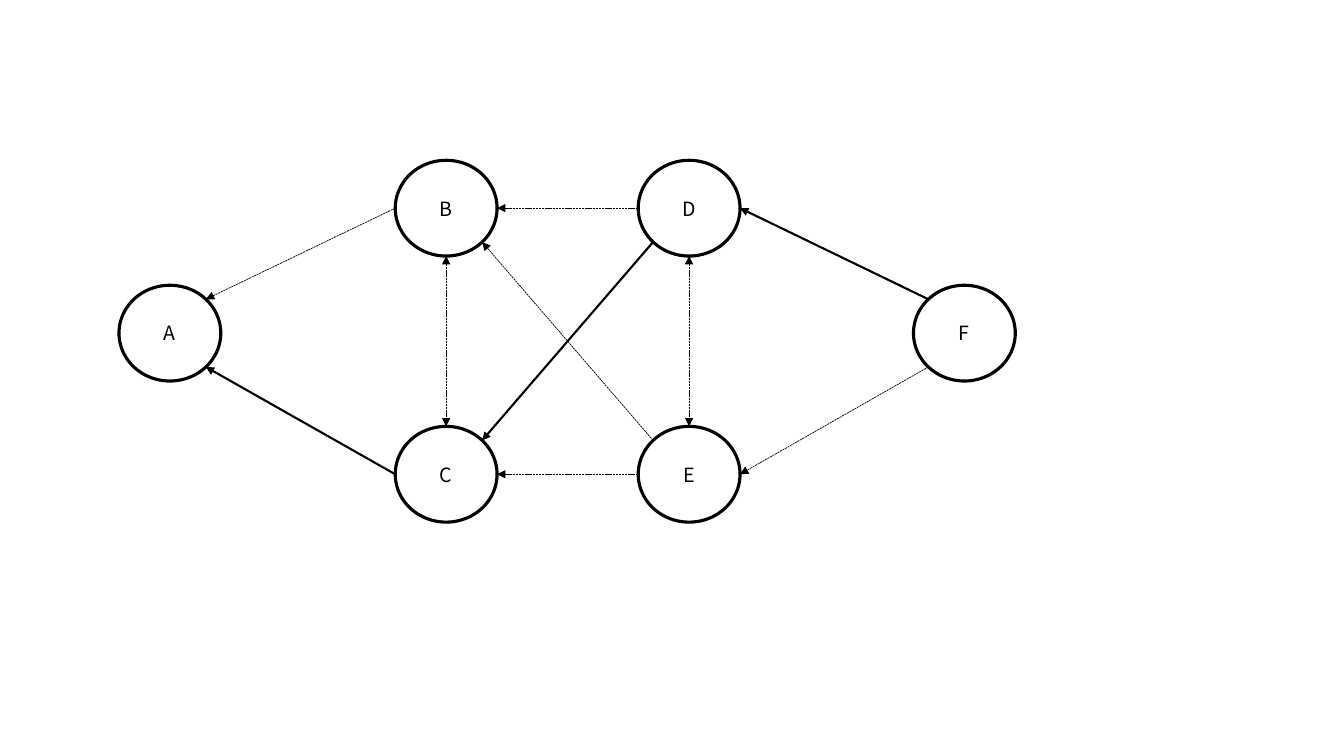
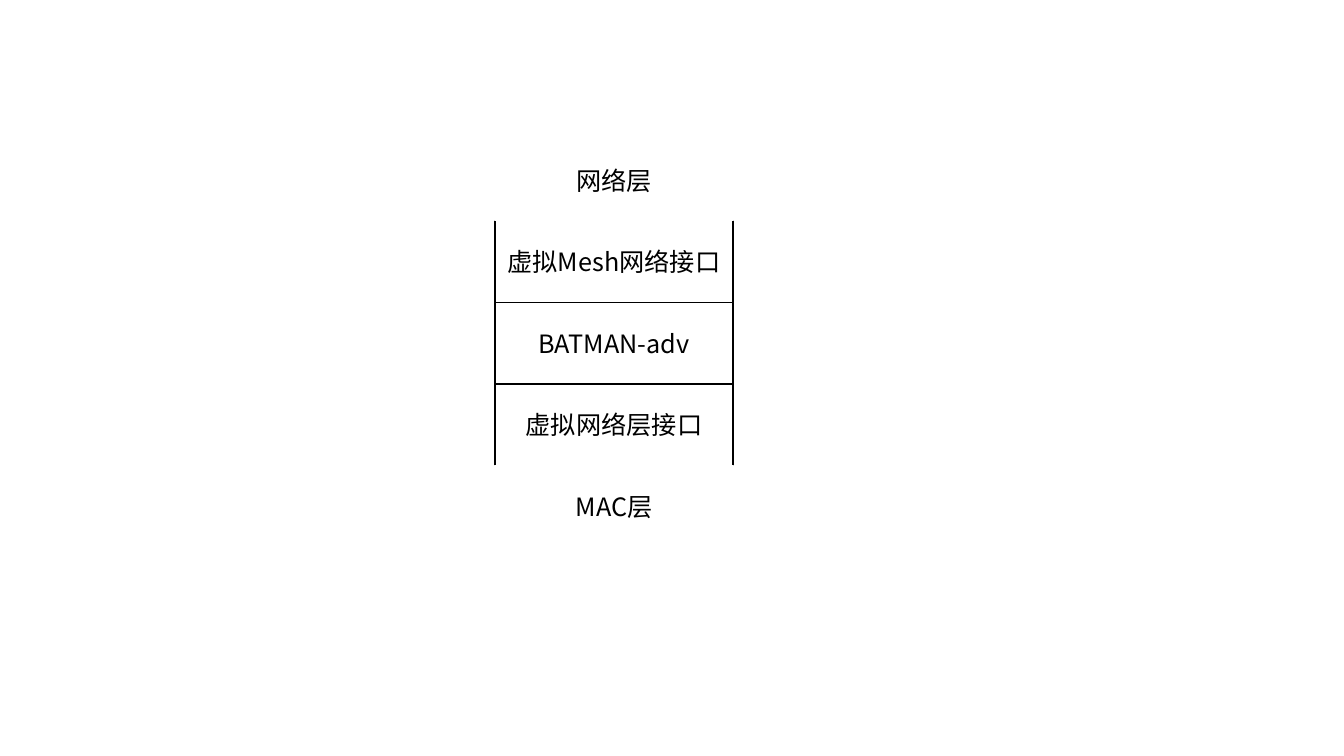
import math
from dataclasses import dataclass

from lxml import etree
from pptx import Presentation
from pptx.dml.color import RGBColor
from pptx.enum import dml, shapes, text
from pptx.oxml import ns
from pptx.util import Inches, Pt


@dataclass(frozen=True)
class Theme:
    font: str = "Noto Sans CJK SC"
    ink: RGBColor = RGBColor(0, 0, 0)
    paper: RGBColor = RGBColor(255, 255, 255)
    node_size: int = 14
    layer_size: int = 18
    node_line: float = 2.25
    layer_line: float = 1
    route_line: float = 1.5
    link_line: float = 0.5


THEME = Theme()

NODE_WIDTH, NODE_HEIGHT = 1.01, 0.95
TOP, MIDDLE, BOTTOM = 1.59, 2.83, 4.23
NODES = {
    "A": (1.18, MIDDLE),
    "B": (3.92, TOP),
    "C": (3.92, BOTTOM),
    "D": (6.33, TOP),
    "E": (6.33, BOTTOM),
    "F": (9.06, MIDDLE),
}

# Connection sites of an ellipse run anticlockwise from the top in steps of 45°.
SITES = ("top", "top left", "left", "bottom left",
         "bottom", "bottom right", "right", "top right")

ROUTE = [
    ("F", "top left", "D", "right"),
    ("D", "bottom left", "C", "top right"),
    ("C", "left", "A", "bottom right"),
]
LINKS = [
    ("F", "bottom left", "E", "right"),
    ("D", "left", "B", "right"),
    ("E", "left", "C", "right"),
    ("B", "left", "A", "top right"),
    ("E", "top left", "B", "bottom right"),
]
TWO_WAY_LINKS = [
    ("B", "bottom", "C", "top"),
    ("D", "bottom", "E", "top"),
]

LAYER_LEFT, LAYER_TOP, LAYER_WIDTH, LAYER_HEIGHT = 4.91, 1.38, 2.36, 0.81
LAYERS = ["网络层", "虚拟Mesh网络接口", "BATMAN-adv", "虚拟网络层接口", "MAC层"]


def add_child(parent, tag, **attributes):
    return etree.SubElement(parent, ns.qn(tag), **attributes)


def add_labelled_shape(page, kind, box, label, size, line_color, line_width):
    """Add an unfilled, outlined shape with a centred label."""
    shape = page.shapes.add_shape(kind, *(Inches(length) for length in box))
    shape.shadow.inherit = False
    shape.fill.background()
    shape.line.color.rgb = line_color
    shape.line.width = Pt(line_width)
    frame = shape.text_frame
    frame.text = label
    frame.vertical_anchor = text.MSO_ANCHOR.MIDDLE
    para = frame.paragraphs[0]
    para.alignment = text.PP_ALIGN.CENTER
    span = para.runs[0]
    span.font.size = Pt(size)
    span.font.name = THEME.font
    span.font.color.rgb = THEME.ink
    add_child(span.font._element, "a:ea", typeface=THEME.font)
    return shape


def site_point(node, site):
    """Return the position of a connection site on an ellipse."""
    angle = math.radians(45 * SITES.index(site))
    x = node.left + node.width / 2 * (1 - math.sin(angle))
    y = node.top + node.height / 2 * (1 - math.cos(angle))
    return round(x), round(y)


def add_arrow(page, start, start_site, end, end_site, route=False, two_way=False):
    """Join two nodes: solid on the chosen route, otherwise thin and dashed."""
    arrow = page.shapes.add_connector(
        shapes.MSO_CONNECTOR.STRAIGHT,
        *site_point(start, start_site), *site_point(end, end_site))
    # python-pptx joins only four sites, so the eight of an ellipse need XML.
    joints = arrow._element.nvCxnSpPr.cNvCxnSpPr
    for tag, node, site in (("a:stCxn", start, start_site),
                            ("a:endCxn", end, end_site)):
        add_child(joints, tag, id=str(node.shape_id), idx=str(SITES.index(site)))

    arrow.line.color.rgb = THEME.ink
    arrow.line.width = Pt(THEME.route_line if route else THEME.link_line)
    if not route:
        arrow.line.dash_style = dml.MSO_LINE.SQUARE_DOT
    outline = arrow.line._get_or_add_ln()
    if two_way:
        add_child(outline, "a:headEnd", type="triangle")
    add_child(outline, "a:tailEnd", type="triangle")
    add_child(arrow._element.spPr, "a:effectLst")


def build_mesh(page):
    nodes = {
        name: add_labelled_shape(
            page, shapes.MSO_SHAPE.OVAL, (left, top, NODE_WIDTH, NODE_HEIGHT),
            name, THEME.node_size, THEME.ink, THEME.node_line)
        for name, (left, top) in NODES.items()
    }
    for arrows, style in ((ROUTE, {"route": True}), (LINKS, {}),
                          (TWO_WAY_LINKS, {"two_way": True})):
        for start, start_site, end, end_site in arrows:
            add_arrow(page, nodes[start], start_site, nodes[end], end_site, **style)


def build_layers(page):
    """Stack the layers; the white outer boxes go last to hide the shared edges."""
    outer = (0, len(LAYERS) - 1)
    for row in (*range(1, len(LAYERS) - 1), *outer):
        box = (LAYER_LEFT, LAYER_TOP + row * LAYER_HEIGHT, LAYER_WIDTH, LAYER_HEIGHT)
        line_color = THEME.paper if row in outer else THEME.ink
        add_labelled_shape(page, shapes.MSO_SHAPE.RECTANGLE, box, LAYERS[row],
                           THEME.layer_size, line_color, THEME.layer_line)


def main():
    deck = Presentation()
    deck.slide_width, deck.slide_height = Inches(13.33), Inches(7.5)
    blank = deck.slide_layouts.get_by_name("Blank")
    for build in (build_mesh, build_layers):
        build(deck.slides.add_slide(blank))
    deck.save("out.pptx")


if __name__ == "__main__":
    main()
